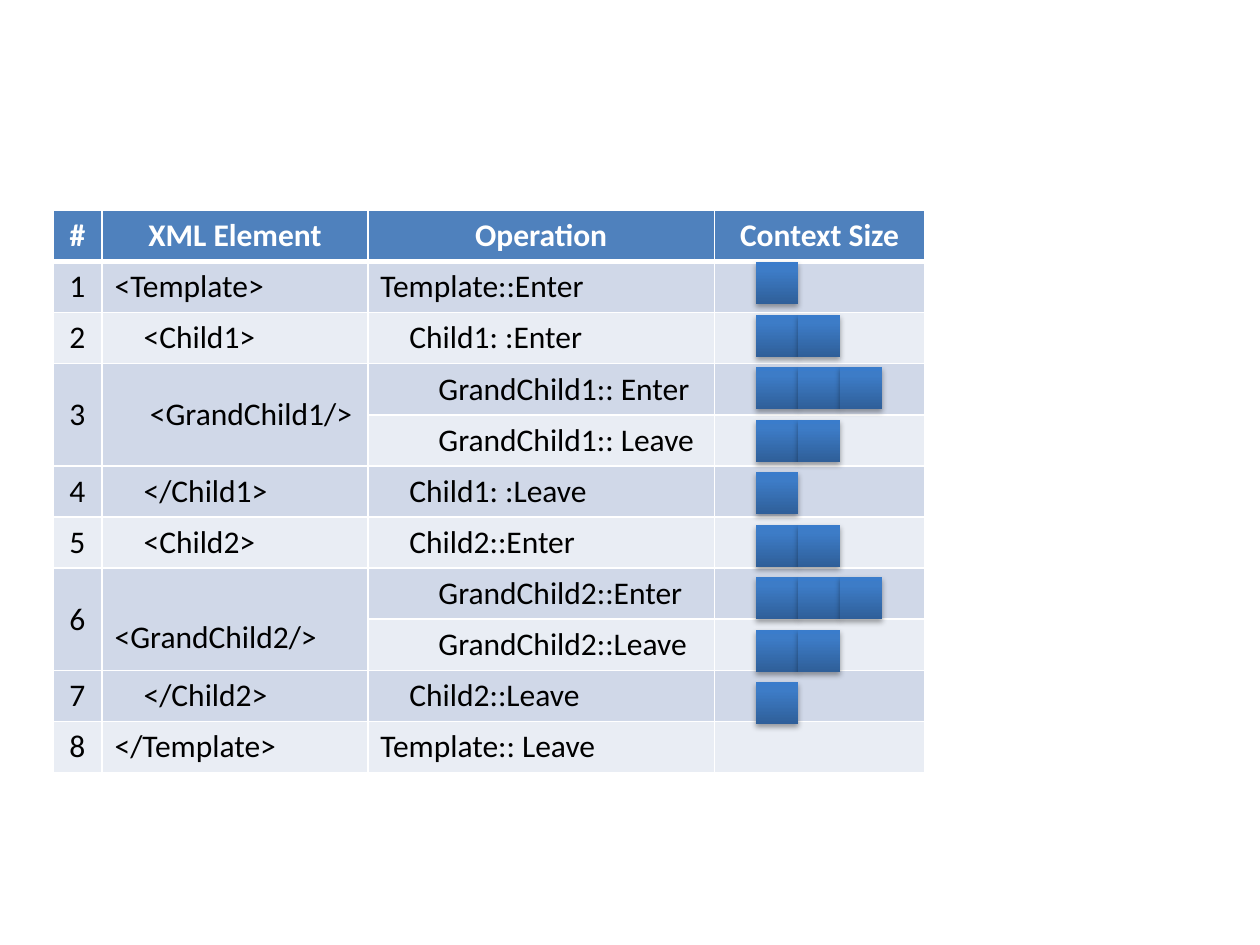
import dataclasses
import typing

import lxml.etree
import pptx
import pptx.dml.color
import pptx.enum.shapes
import pptx.enum.text
import pptx.oxml.ns
import pptx.util

Inches = pptx.util.Inches
qn = pptx.oxml.ns.qn


@dataclasses.dataclass(frozen=True)
class Theme:
    """Colours and type of the slide."""
    font: str = "Calibri"
    size: int = 18
    header: str = "4F81BD"
    bands: tuple = ("D0D8E8", "E9EDF4")
    white: str = "FFFFFF"
    black: str = "000000"
    block: tuple = ((0, "2F5F99"), (80, "3D7CC7"), (100, "3A7CCB"))
    shadow_alpha: int = 35


class Step(typing.NamedTuple):
    """One table row; an empty number continues the row above."""
    number: str
    element: str
    element_indent: float
    operation: str
    depth: int
    blocks: int
    drop: float = 0


THEME = Theme()
INDENT = 0.23
HEADERS = ("#", "XML Element", "Operation", "Context Size")
COLUMNS = (0.39, 2.11, 2.75, 1.67)
LEFT, TOP, HEIGHT = 0.42, 1.67, 4.46
BLOCK_LEFT, BLOCK_TOP, BLOCK, BLOCK_PITCH = 6, 2.08, 1 / 3, 5 / 12
STEPS = (
    Step("1", "<Template>", 0, "Template::Enter", 0, 1),
    Step("2", "<Child1>", INDENT, "Child1: :Enter", 1, 2),
    Step("3", "<GrandChild1/>", 0.28, "GrandChild1:: Enter", 2, 3),
    Step("", "", 0, "GrandChild1:: Leave", 2, 2),
    Step("4", "</Child1>", INDENT, "Child1: :Leave", 1, 1),
    Step("5", "<Child2>", INDENT, "Child2::Enter", 1, 2),
    Step("6", "<GrandChild2/>", 0, "GrandChild2::Enter", 2, 3, 0.3),
    Step("", "", 0, "GrandChild2::Leave", 2, 2),
    Step("7", "</Child2>", INDENT, "Child2::Leave", 1, 1),
    Step("8", "</Template>", 0, "Template:: Leave", 0, 0),
)


def add_xml(parent, tag: str, **attrs):
    """Append a DrawingML element and return it."""
    values = {key: str(value) for key, value in attrs.items()}
    return lxml.etree.SubElement(parent, qn(tag), values)


def style_cell(cell, fill: str, top: float = 1, bottom: float = 1) -> None:
    """Give a cell white borders and a plain fill."""
    tc_pr = cell._tc.get_or_add_tcPr()
    for side, width in (("L", 1), ("R", 1), ("T", top), ("B", bottom)):
        ln = add_xml(tc_pr, f"a:ln{side}", w=pptx.util.Pt(width))
        add_xml(add_xml(ln, "a:solidFill"), "a:srgbClr", val=THEME.white)
    cell.fill.solid()
    cell.fill.fore_color.rgb = pptx.dml.color.RGBColor.from_string(fill)


def write_cell(cell, text: str, color: str, bold: bool = False,
               centred: bool = False, indent: float = 0, drop: float = 0) -> None:
    """Write one run, indented or lowered by the cell margins."""
    cell.margin_left = Inches(0.1 + indent)
    cell.margin_top = Inches(0.05 + drop)
    p = cell.text_frame.paragraphs[0]
    align = pptx.enum.text.PP_ALIGN
    p.alignment = align.CENTER if centred else align.LEFT
    r = p.add_run()
    r.text = text
    r.font.name = THEME.font
    r.font.size = pptx.util.Pt(THEME.size)
    r.font.bold = bold
    r.font.color.rgb = pptx.dml.color.RGBColor.from_string(color)


def add_steps_table(s) -> None:
    """Draw the table of parsing steps."""
    count = len(STEPS) + 1
    table = s.shapes.add_table(count, len(COLUMNS), Inches(LEFT), Inches(TOP),
                               Inches(sum(COLUMNS)), Inches(HEIGHT)).table
    for column, width in zip(table.columns, COLUMNS):
        column.width = Inches(width)
    for row in table.rows:
        row.height = Inches(HEIGHT / count)
    for col, title in enumerate(HEADERS):
        cell = table.cell(0, col)
        style_cell(cell, THEME.header, bottom=3)
        write_cell(cell, title, THEME.white, bold=True, centred=True)

    for row, step in enumerate(STEPS, 1):
        cells = [table.cell(row, col) for col in range(len(COLUMNS))]
        for cell in cells:
            style_cell(cell, THEME.bands[(row - 1) % 2], top=3 if row == 1 else 1)
            cell.vertical_anchor = pptx.enum.text.MSO_ANCHOR.MIDDLE
        if step.number:
            write_cell(cells[0], step.number, THEME.black, centred=True)
            write_cell(cells[1], step.element, THEME.black,
                       indent=step.element_indent, drop=step.drop)
        else:
            for col in (0, 1):
                table.cell(row - 1, col).merge(cells[col])
        write_cell(cells[2], step.operation, THEME.black, indent=step.depth * INDENT)


def add_block(s, left: float, top: float) -> None:
    """Draw one shaded context block."""
    sp = s.shapes.add_shape(pptx.enum.shapes.MSO_SHAPE.RECTANGLE, Inches(left),
                            Inches(top), Inches(BLOCK), Inches(BLOCK))
    sp.line.fill.background()
    sp.fill.gradient()
    sp.fill.gradient_angle = 90
    stops = sp._element.spPr.find(".//" + qn("a:gsLst"))
    for stop in list(stops):
        stops.remove(stop)
    for pos, color in THEME.block:
        add_xml(add_xml(stops, "a:gs", pos=pos * 1000), "a:srgbClr", val=color)
    sp.shadow.inherit = False
    effects = sp._element.spPr.find(qn("a:effectLst"))
    shadow = add_xml(effects, "a:outerShdw", blurRad=pptx.util.Pt(3.1),
                     dist=pptx.util.Pt(1.8), dir=90 * 60000, rotWithShape=0)
    color = add_xml(shadow, "a:srgbClr", val=THEME.black)
    add_xml(color, "a:alpha", val=THEME.shadow_alpha * 1000)


def main() -> None:
    """Build and save the slide."""
    prs = pptx.Presentation()
    prs.slide_width, prs.slide_height = Inches(10), Inches(7.5)
    s = prs.slides.add_slide(prs.slide_layouts[6])
    add_steps_table(s)
    for row, step in enumerate(STEPS):
        for col in range(step.blocks):
            add_block(s, BLOCK_LEFT + col * BLOCK, BLOCK_TOP + row * BLOCK_PITCH)
    prs.save("out.pptx")


main()
